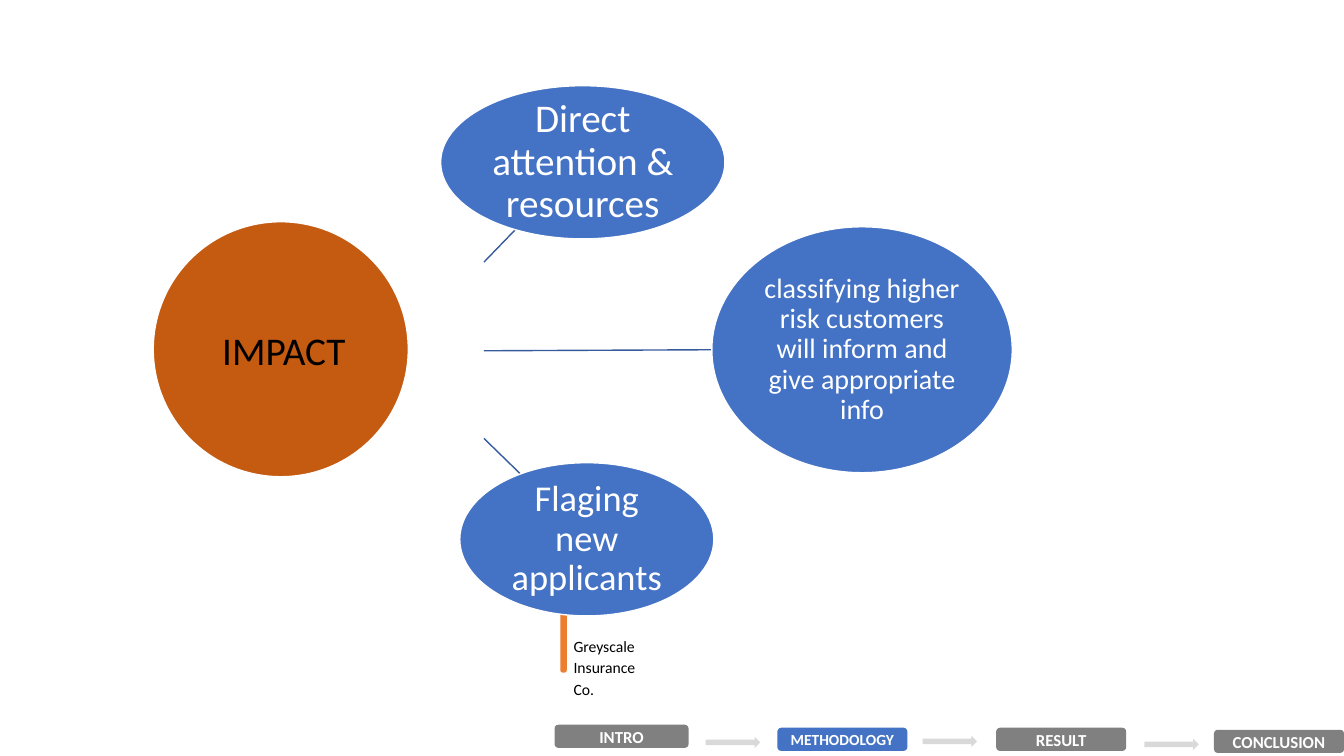
"""Build the impact slide: a hub circle, three outcome ellipses and a progress bar."""
from lxml import etree
from pptx import Presentation
from pptx.dml.color import RGBColor
from pptx.enum import shapes, text
from pptx.oxml.ns import qn
from pptx.util import Inches, Pt

BLACK = RGBColor(0x00, 0x00, 0x00)
WHITE = RGBColor(0xFF, 0xFF, 0xFF)
BLUE = RGBColor(0x44, 0x72, 0xC4)
DARK_BLUE = RGBColor(0x36, 0x5B, 0x9D)
RUST = RGBColor(0xC5, 0x5A, 0x11)
ORANGE = RGBColor(0xED, 0x7D, 0x31)
GREY = RGBColor(0x80, 0x80, 0x80)
LIGHT_GREY = RGBColor(0xD9, 0xD9, 0xD9)
SHAPE = shapes.MSO_SHAPE


def write(sp, lines, size, color=WHITE, bold=False, align=text.PP_ALIGN.CENTER,
          spacing=1.0, after=0, inset=None):
    tf = sp.text_frame
    tf.word_wrap = True
    tf.auto_size = text.MSO_AUTO_SIZE.NONE
    tf.vertical_anchor = text.MSO_ANCHOR.MIDDLE
    if inset is not None:
        tf.margin_left = tf.margin_right = tf.margin_top = tf.margin_bottom = Inches(inset)
    for i, line in enumerate(lines):
        p = tf.paragraphs[0] if i == 0 else tf.add_paragraph()
        p.alignment, p.line_spacing, p.space_after = align, spacing, Pt(after)
        r = p.add_run()
        r.text = line
        r.font.name, r.font.size, r.font.bold = "Calibri", Pt(size), bold
        r.font.color.rgb = color


def add_filled(kind, left, top, width, height, fill, line=None):
    sp = slide.shapes.add_shape(kind, Inches(left), Inches(top), Inches(width), Inches(height))
    sp.shadow.inherit = False
    sp.fill.solid()
    sp.fill.fore_color.rgb = fill
    if line is None:
        sp.line.fill.background()
    else:
        sp.line.color.rgb = line
        sp.line.width = Pt(1)
    return sp


prs = Presentation()
prs.slide_width, prs.slide_height = Inches(13.33), Inches(7.5)
slide = prs.slides.add_slide(prs.slide_layouts[5])

company = slide.shapes.add_textbox(Inches(5.59), Inches(6.3), Inches(0.95), Inches(0.69))
write(company, ["Greyscale", "Insurance", "Co."], 11.2, BLACK,
      align=text.PP_ALIGN.LEFT, spacing=0.7, after=6)

stroke = [(5.6, 4.95), (5.61, 5.5), (5.6, 6.0), (5.6, 6.65),
          (5.58, 6.65), (5.58, 6.1), (5.58, 5.5), (5.58, 4.95)]
points = [(Inches(x), Inches(y)) for x, y in stroke]
builder = slide.shapes.build_freeform(*points[0])
builder.add_line_segments(points[1:], close=True)
bar = builder.convert_to_shape()
bar.shadow.inherit = False
bar.fill.solid()
bar.fill.fore_color.rgb = bar.line.color.rgb = ORANGE
bar.line.width = Pt(3.25)

steps = [
    ("INTRO", 5.5, 7.19, 1.33, 12, GREY),
    ("METHODOLOGY", 7.71, 7.22, 1.29, 11, BLUE),
    ("RESULT", 9.88, 7.22, 1.29, 12, GREY),
    ("CONCLUSION", 12.04, 7.24, 1.29, 12, GREY),
]
for label, left, top, width, size, fill in steps:
    step = add_filled(SHAPE.ROUNDED_RECTANGLE, left, top, width, 0.23, fill)
    write(step, [label], size, bold=True)
for left, top in [(7, 7.31), (9.15, 7.3), (11.35, 7.33)]:
    add_filled(SHAPE.RIGHT_ARROW, left, top, 0.54, 0.11, LIGHT_GREY)

for x1, y1, x2, y2 in [(4.8, 4.35, 5.16, 4.7), (4.8, 3.48, 7.06, 3.47), (4.8, 2.6, 5.11, 2.28)]:
    spoke = slide.shapes.add_connector(shapes.MSO_CONNECTOR.STRAIGHT,
                                       Inches(x1), Inches(y1), Inches(x2), Inches(y2))
    spoke.line.color.rgb = DARK_BLUE
    spoke.line.width = Pt(1)
    etree.SubElement(spoke._element.spPr, qn("a:effectLst"))

add_filled(SHAPE.OVAL, 1.52, 2.2, 2.53, 2.53, RUST, WHITE)
outcomes = [
    ("Direct attention & resources", 4.37, 0.85, 2.82, 1.52, 28),
    ("classifying higher risk customers will inform and give appropriate info",
     7.06, 2.25, 2.98, 2.44, 20),
    ("Flaging new applicants", 4.56, 4.59, 2.52, 1.52, 26),
]
for label, left, top, width, height, size in outcomes:
    outcome = add_filled(SHAPE.OVAL, left, top, width, height, BLUE, WHITE)
    write(outcome, [label], size, spacing=0.9, inset=0.02)

title = slide.shapes.title
title.left, title.top = Inches(1.75), Inches(3.19)
title.width, title.height = Inches(2.13), Inches(0.57)
title.fill.solid()
title.fill.fore_color.rgb = RUST
write(title, ["IMPACT"], 28, BLACK)
slide.shapes._spTree.append(title._element)

prs.save("out.pptx")
